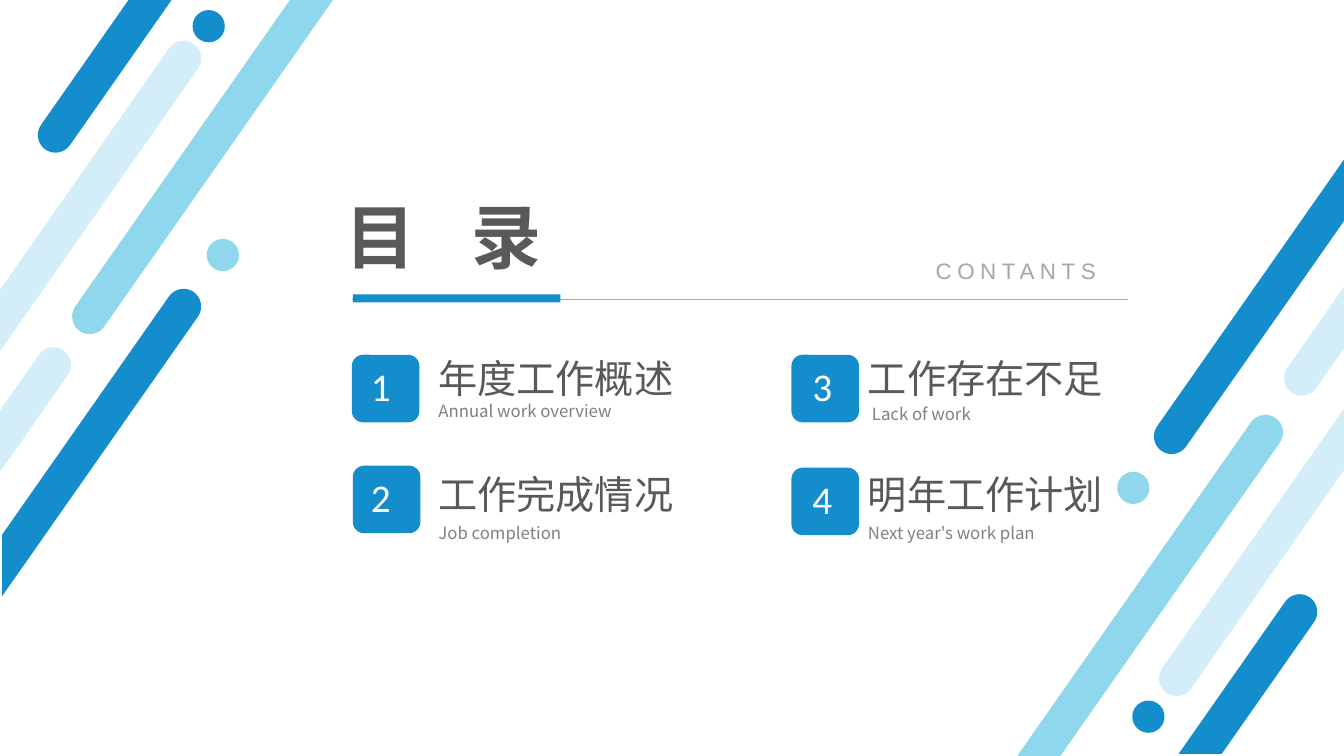
import math
from dataclasses import dataclass

import pptx
import pptx.util
from pptx.dml.color import RGBColor
from pptx.enum.shapes import MSO_CONNECTOR, MSO_SHAPE
from pptx.enum.text import MSO_ANCHOR, MSO_AUTO_SIZE, PP_ALIGN
from pptx.oxml.ns import qn
from pptx.util import Inches

BLUE = RGBColor(0x13, 0x8D, 0xCC)
AQUA = RGBColor(0x8F, 0xD7, 0xED)
AQUA_DOT = RGBColor(0x90, 0xD7, 0xEE)
PALE = RGBColor(0xD3, 0xEE, 0xF9)
DARK_GREY = RGBColor(0x59, 0x59, 0x59)
MID_GREY = RGBColor(0x80, 0x80, 0x80)
LIGHT_GREY = RGBColor(0xA6, 0xA6, 0xA6)
WHITE = RGBColor(0xFF, 0xFF, 0xFF)

CJK_FONT = "Noto Sans CJK SC"
STRIPE_ANGLE = 35
STRIPE_RADIUS = 0.175
ARC_HANDLE = 0.55
DOT_SIZE = 0.32
BADGE_SIZE = 0.67


@dataclass(frozen=True)
class Stripe:
    """A slanted bar: centre of its round end, and the line that cuts it off."""
    x: float
    y: float
    cut_axis: str
    cut_at: float
    color: RGBColor


@dataclass(frozen=True)
class Dot:
    left: float
    top: float
    color: RGBColor


@dataclass(frozen=True)
class Chapter:
    number: str
    heading: str
    caption: str
    badge: tuple[float, float]
    number_left: float
    heading_at: tuple[float, float]
    caption_at: tuple[float, float]


@dataclass(frozen=True)
class TextStyle:
    font: str
    size: float
    color: RGBColor
    bold: bool = False
    spacing: float = 0


HEADING = TextStyle(CJK_FONT, 28, DARK_GREY)
CAPTION = TextStyle(CJK_FONT, 12, MID_GREY)
NUMBER = TextStyle("Calibri", 28, WHITE)
TITLE = TextStyle(CJK_FONT, 50, DARK_GREY, bold=True, spacing=14.2)
SUBTITLE = TextStyle("Arial", 16, LIGHT_GREY, spacing=4)

STRIPES = [
    Stripe(1.82, 3.04, "x", 0.02, BLUE),
    Stripe(0.53, 3.62, "x", -0.04, PALE),
    Stripe(0.89, 3.14, "y", -0.03, AQUA),
    Stripe(1.82, 0.58, "x", -0.03, PALE),
    Stripe(0.55, 1.34, "y", -0.04, BLUE),
    Stripe(11.62, 4.33, "x", 13.33, BLUE),
    Stripe(12.91, 3.75, "x", 13.38, PALE),
    Stripe(12.55, 4.29, "y", 7.52, AQUA),
    Stripe(11.67, 6.73, "x", 13.38, PALE),
    Stripe(12.89, 6.07, "y", 7.48, BLUE),
]
DOTS = [
    Dot(2.05, 2.37, AQUA_DOT),
    Dot(1.91, 0.1, BLUE),
    Dot(11.08, 4.68, AQUA_DOT),
    Dot(11.23, 6.95, BLUE),
]
CHAPTERS = [
    Chapter("1", "年度工作概述", "Annual work overview",
            (3.49, 3.52), 3.58, (4.25, 3.47), (4.25, 3.93)),
    Chapter("2", "工作完成情况", "Job completion",
            (3.5, 4.62), 3.58, (4.25, 4.62), (4.25, 5.14)),
    Chapter("3", "工作存在不足", "Lack of work",
            (7.85, 3.52), 7.96, (8.51, 3.47), (8.55, 3.96)),
    Chapter("4", "明年工作计划", "Next year's work plan",
            (7.85, 4.64), 7.96, (8.51, 4.62), (8.51, 5.14)),
]


def paint(shape, color: RGBColor) -> None:
    shape.shadow.inherit = False
    shape.fill.solid()
    shape.fill.fore_color.rgb = color
    shape.line.fill.background()


def add_block(slide, kind, left: float, top: float, width: float,
              height: float, color: RGBColor) -> None:
    block = slide.shapes.add_shape(
        kind, Inches(left), Inches(top), Inches(width), Inches(height))
    paint(block, color)


def round_end(bar) -> None:
    """Bend the first two edges of the outline into quarter circles."""
    corners = list(bar._element.iter(qn("a:pt")))[:3]
    start, tip, finish = [(int(pt.get("x")), int(pt.get("y"))) for pt in corners]

    def handles(side: tuple[int, int]) -> list[tuple[int, int]]:
        return [(side[0], round(side[1] + ARC_HANDLE * (tip[1] - side[1]))),
                (round(tip[0] + ARC_HANDLE * (side[0] - tip[0])), tip[1])]

    curves = [handles(start) + [tip], handles(finish)[::-1] + [finish]]
    edges = list(bar._element.iter(qn("a:lnTo")))[:2]
    for edge, curve in zip(edges, curves):
        bend = edge.makeelement(qn("a:cubicBezTo"), {})
        for x, y in curve:
            bend.append(bend.makeelement(qn("a:pt"), {"x": str(x), "y": str(y)}))
        edge.getparent().replace(edge, bend)


def add_stripe(slide, stripe: Stripe) -> None:
    """Outline the bar upright around its round end, then turn it."""
    sin = math.sin(math.radians(STRIPE_ANGLE))
    cos = math.cos(math.radians(STRIPE_ANGLE))

    def reach(side: float) -> float:
        if stripe.cut_axis == "x":
            return (stripe.x + side * cos - stripe.cut_at) / sin
        return (stripe.cut_at - stripe.y - side * sin) / cos

    radius = STRIPE_RADIUS
    outline = [(radius, 0), (0, -math.copysign(radius, reach(0))), (-radius, 0),
               (-radius, reach(-radius)), (radius, reach(radius))]
    heights = [y for _, y in outline]
    middle = (min(heights) + max(heights)) / 2
    center_x = stripe.x - middle * sin
    center_y = stripe.y + middle * cos
    points = [(Inches(center_x + x), Inches(center_y + y - middle))
              for x, y in outline]
    builder = slide.shapes.build_freeform(*points[0])
    builder.add_line_segments(points[1:], close=True)
    bar = builder.convert_to_shape()
    round_end(bar)
    bar.rotation = STRIPE_ANGLE
    paint(bar, stripe.color)


def write(frame, text: str, style: TextStyle, align=PP_ALIGN.LEFT) -> None:
    frame.word_wrap = True
    paragraph = frame.paragraphs[0]
    paragraph.text = text
    paragraph.alignment = align
    font = paragraph.font
    font.name = style.font
    font.size = pptx.util.Pt(style.size)
    font.bold = style.bold
    font.color.rgb = style.color
    # East Asian typeface and letter spacing
    defaults = paragraph._p.pPr.find(qn("a:defRPr"))
    east_asian = defaults.makeelement(qn("a:ea"), {"typeface": style.font})
    defaults.find(qn("a:latin")).addnext(east_asian)
    if style.spacing:
        defaults.set("spc", str(round(style.spacing * 100)))


def add_text(slide, text: str, style: TextStyle, left: float, top: float,
             width: float, height: float, align=PP_ALIGN.LEFT) -> None:
    box = slide.shapes.add_textbox(
        Inches(left), Inches(top), Inches(width), Inches(height))
    write(box.text_frame, text, style, align)
    box.text_frame.auto_size = MSO_AUTO_SIZE.SHAPE_TO_FIT_TEXT


def add_chapter(slide, chapter: Chapter) -> None:
    left, top = chapter.badge
    add_text(slide, chapter.heading, HEADING, *chapter.heading_at, 3.26, 0.57)
    add_text(slide, chapter.caption, CAPTION, *chapter.caption_at, 3.37, 0.3)
    add_block(slide, MSO_SHAPE.ROUNDED_RECTANGLE, left, top,
              BADGE_SIZE, BADGE_SIZE, BLUE)
    add_text(slide, chapter.number, NUMBER,
             chapter.number_left, top + 0.03, 0.71, 0.57)


def add_header(slide) -> None:
    title = slide.shapes.title
    title.left, title.top = Inches(3.33), Inches(1.84)
    title.width, title.height = Inches(9.61), Inches(0.99)
    write(title.text_frame, "目 录", TITLE)
    title.text_frame.vertical_anchor = MSO_ANCHOR.MIDDLE
    title.text_frame.auto_size = MSO_AUTO_SIZE.NONE
    add_text(slide, "CONTANTS", SUBTITLE, 8.83, 2.5, 2.49, 0.37, PP_ALIGN.CENTER)

    rule = slide.shapes.add_connector(
        MSO_CONNECTOR.STRAIGHT,
        Inches(3.49), Inches(2.97), Inches(11.19), Inches(2.97))
    rule.line.color.rgb = LIGHT_GREY
    rule.line.width = pptx.util.Pt(0.5)
    rule._element.spPr.append(
        rule._element.spPr.makeelement(qn("a:effectLst"), {}))
    add_block(slide, MSO_SHAPE.RECTANGLE, 3.5, 2.92, 2.06, 0.08, BLUE)


def main() -> None:
    deck = pptx.Presentation()
    deck.slide_width, deck.slide_height = Inches(13.33), Inches(7.5)
    slide = deck.slides.add_slide(deck.slide_layouts[5])

    # Slanted decoration in both corners
    for stripe in STRIPES:
        add_stripe(slide, stripe)
    for dot in DOTS:
        add_block(slide, MSO_SHAPE.OVAL, dot.left, dot.top,
                  DOT_SIZE, DOT_SIZE, dot.color)

    # Contents
    add_header(slide)
    for chapter in CHAPTERS:
        add_chapter(slide, chapter)
    deck.save("out.pptx")


if __name__ == "__main__":
    main()
